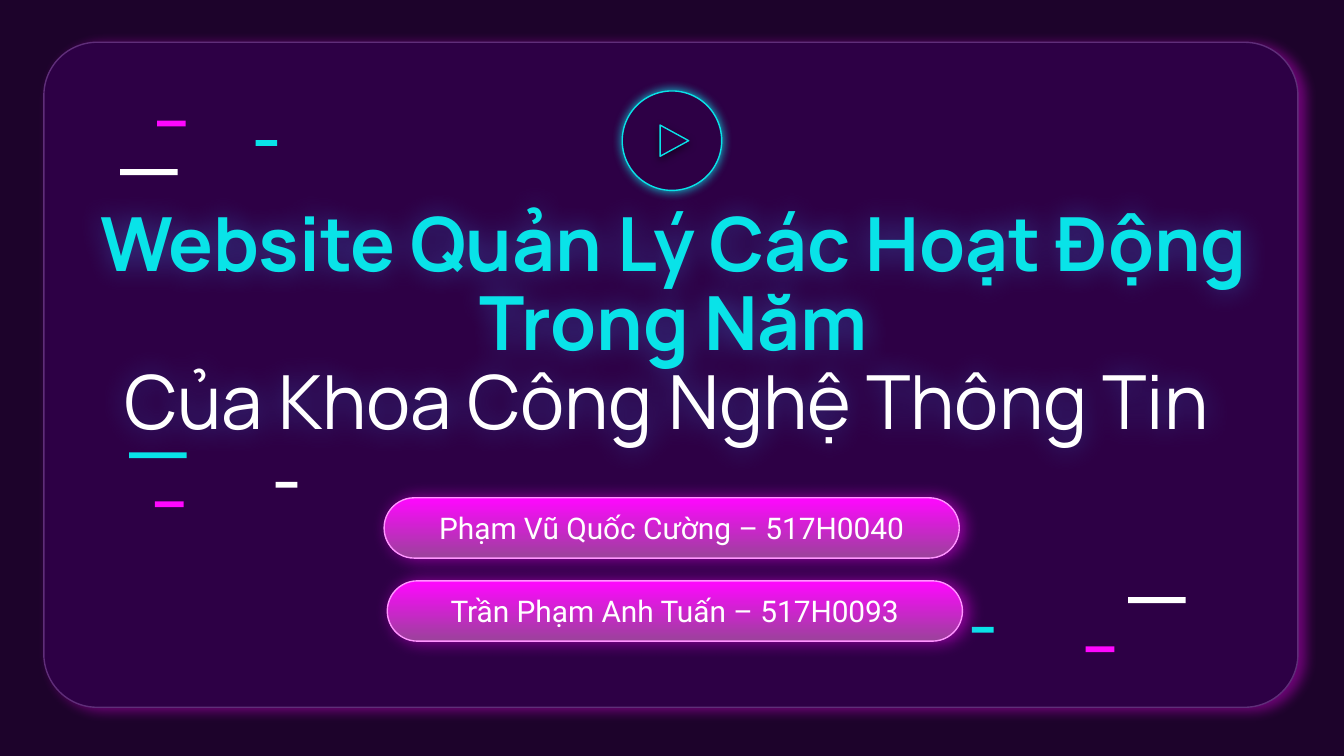
from dataclasses import dataclass
from typing import NamedTuple, Optional

from lxml.etree import SubElement
from pptx import Presentation
from pptx.dml.color import RGBColor
from pptx.enum.shapes import MSO_SHAPE as Shape
from pptx.enum.text import MSO_ANCHOR as Anchor, MSO_AUTO_SIZE as AutoSize, PP_ALIGN as Align
from pptx.oxml.ns import qn
from pptx.util import Cm, Pt


@dataclass(frozen=True)
class Theme:
    backdrop: str = "1D032B"
    panel: str = "2D0045"
    panel_edge: str = "5F2E79"
    cyan: str = "09E3E8"
    magenta: str = "FF07FF"
    plum: str = "9B429B"
    pink: str = "FF94FF"
    white: str = "FFFFFF"
    black: str = "000000"
    title_glow: str = "3C78D8"
    title_font: str = "Manrope"
    body_font: str = "Roboto"
    title_size: int = 40
    name_size: int = 16
    line_width: float = 0.75


THEME = Theme()


class Box(NamedTuple):
    """Position and size in centimetres."""
    left: float
    top: float
    width: float
    height: float

    def lengths(self) -> list:
        return [Cm(value) for value in self]


class Glow(NamedTuple):
    """Outer shadow: opacity in percent, blur and distance in points."""
    color: str
    opacity: int
    blur: float
    distance: float = 0
    angle: int = 0


class Dash(NamedTuple):
    left: float
    top: float
    width: float
    color: str


class NameTag(NamedTuple):
    left: float
    top: float
    text: str


LONG, MEDIUM, SHORT = 1.09, 0.54, 0.41
DASH_HEIGHT = 0.11
DASHES = [
    # Upper left
    Dash(2.27, 3.2, LONG, THEME.white),
    Dash(2.97, 2.28, MEDIUM, THEME.magenta),
    Dash(4.83, 2.65, SHORT, THEME.cyan),
    # Lower left
    Dash(2.44, 8.55, LONG, THEME.cyan),
    Dash(2.93, 9.48, MEDIUM, THEME.magenta),
    Dash(5.21, 9.11, SHORT, THEME.white),
    # Lower right
    Dash(21.32, 11.29, LONG, THEME.white),
    Dash(20.52, 12.22, MEDIUM, THEME.magenta),
    Dash(18.37, 11.85, SHORT, THEME.cyan),
]
NAME_TAGS = [
    NameTag(7.32, 10.98, "Trần Phạm Anh Tuấn – 517H0093"),
    NameTag(7.26, 9.41, "Phạm Vũ Quốc Cường – 517H0040"),
]


def color_of(value: str) -> RGBColor:
    return RGBColor.from_string(value)


def add_glow(shape, glow: Glow) -> None:
    shape.shadow.inherit = False
    effects = shape._element.spPr.find(qn("a:effectLst"))
    shadow = SubElement(effects, qn("a:outerShdw"), {
        "blurRad": str(Pt(glow.blur)), "dist": str(Pt(glow.distance)),
        "dir": str(glow.angle * 60000), "algn": "ctr", "rotWithShape": "0"})
    color = SubElement(shadow, qn("a:srgbClr"), val=glow.color)
    SubElement(color, qn("a:alpha"), val=str(glow.opacity * 1000))


def add_figure(slide, kind: Shape, box: Box, fill: str, line: Optional[str] = None,
               glow: Optional[Glow] = None):
    shape = slide.shapes.add_shape(kind, *box.lengths())
    shape.shadow.inherit = False
    shape.fill.solid()
    shape.fill.fore_color.rgb = color_of(fill)
    if line:
        shape.line.color.rgb = color_of(line)
        shape.line.width = Pt(THEME.line_width)
    else:
        shape.line.fill.background()
    if glow:
        add_glow(shape, glow)
    return shape


def prepare_frame(shape):
    frame = shape.text_frame
    frame.word_wrap = True
    frame.auto_size = AutoSize.NONE
    frame.vertical_anchor = Anchor.MIDDLE
    frame.margin_left = frame.margin_right = Cm(0.25)
    frame.margin_top = frame.margin_bottom = Cm(0.25)
    return frame


def add_run(paragraph, text: str, font: str, size: int, color: str, bold: bool = False) -> None:
    paragraph.alignment = Align.CENTER
    run = paragraph.add_run()
    run.text = text
    run.font.name = font
    run.font.size = Pt(size)
    run.font.bold = bold
    run.font.color.rgb = color_of(color)


def add_title(slide) -> None:
    title = slide.shapes.title
    title.left, title.top, title.width, title.height = Box(0.91, 3.15, 23.65, 6.05).lengths()
    add_glow(title, Glow(THEME.title_glow, 50, 15))
    frame = prepare_frame(title)
    lines = [("Website Quản Lý Các Hoạt Động Trong Năm", THEME.cyan, True),
             ("Của Khoa Công Nghệ Thông Tin ", THEME.white, False)]
    for index, (text, color, bold) in enumerate(lines):
        paragraph = frame.add_paragraph() if index else frame.paragraphs[0]
        paragraph.line_spacing = 0.88
        add_run(paragraph, text, THEME.title_font, THEME.title_size, color, bold)
    # Bring the title in front of the panel and dashes
    slide.shapes._spTree.append(title._element)


def add_name_tag(slide, tag: NameTag) -> None:
    shape = add_figure(slide, Shape.ROUNDED_RECTANGLE, Box(tag.left, tag.top, 10.87, 1.14),
                       THEME.magenta, THEME.pink, Glow(THEME.magenta, 50, 9, 2.2))
    shape.adjustments[0] = 0.5
    shape.fill.gradient()
    shape.fill.gradient_angle = 270
    for stop, color in zip(shape.fill.gradient_stops, (THEME.magenta, THEME.plum)):
        stop.color.rgb = color_of(color)
    paragraph = prepare_frame(shape).paragraphs[0]
    add_run(paragraph, tag.text, THEME.body_font, THEME.name_size, THEME.white)


def main() -> None:
    presentation = Presentation()
    presentation.slide_width, presentation.slide_height = Cm(25.4), Cm(14.29)
    slide = presentation.slides.add_slide(presentation.slide_layouts[0])
    subtitle = slide.placeholders[1]._element
    subtitle.getparent().remove(subtitle)

    # Backdrop and glowing panel
    slide.background.fill.solid()
    slide.background.fill.fore_color.rgb = color_of(THEME.backdrop)
    panel = add_figure(slide, Shape.ROUNDED_RECTANGLE, Box(0.83, 0.8, 23.7, 12.57),
                       THEME.panel, THEME.panel_edge, Glow(THEME.magenta, 36, 6.8, 3.8, 19))
    panel.adjustments[0] = 0.08

    # Decorative dashes
    for dash in DASHES:
        add_figure(slide, Shape.RECTANGLE, Box(dash.left, dash.top, dash.width, DASH_HEIGHT),
                   dash.color)

    add_title(slide)

    # Play button
    add_figure(slide, Shape.OVAL, Box(11.76, 1.72, 1.88, 1.88), THEME.panel, THEME.cyan,
               Glow(THEME.cyan, 90, 5.6))
    arrow = add_figure(slide, Shape.ISOSCELES_TRIANGLE, Box(12.45, 2.39, 0.59, 0.54),
                       THEME.panel, THEME.cyan, Glow(THEME.black, 50, 4.5, 1.5, 90))
    arrow.rotation = 90

    # Authors
    for tag in NAME_TAGS:
        add_name_tag(slide, tag)

    presentation.save("out.pptx")


if __name__ == "__main__":
    main()
